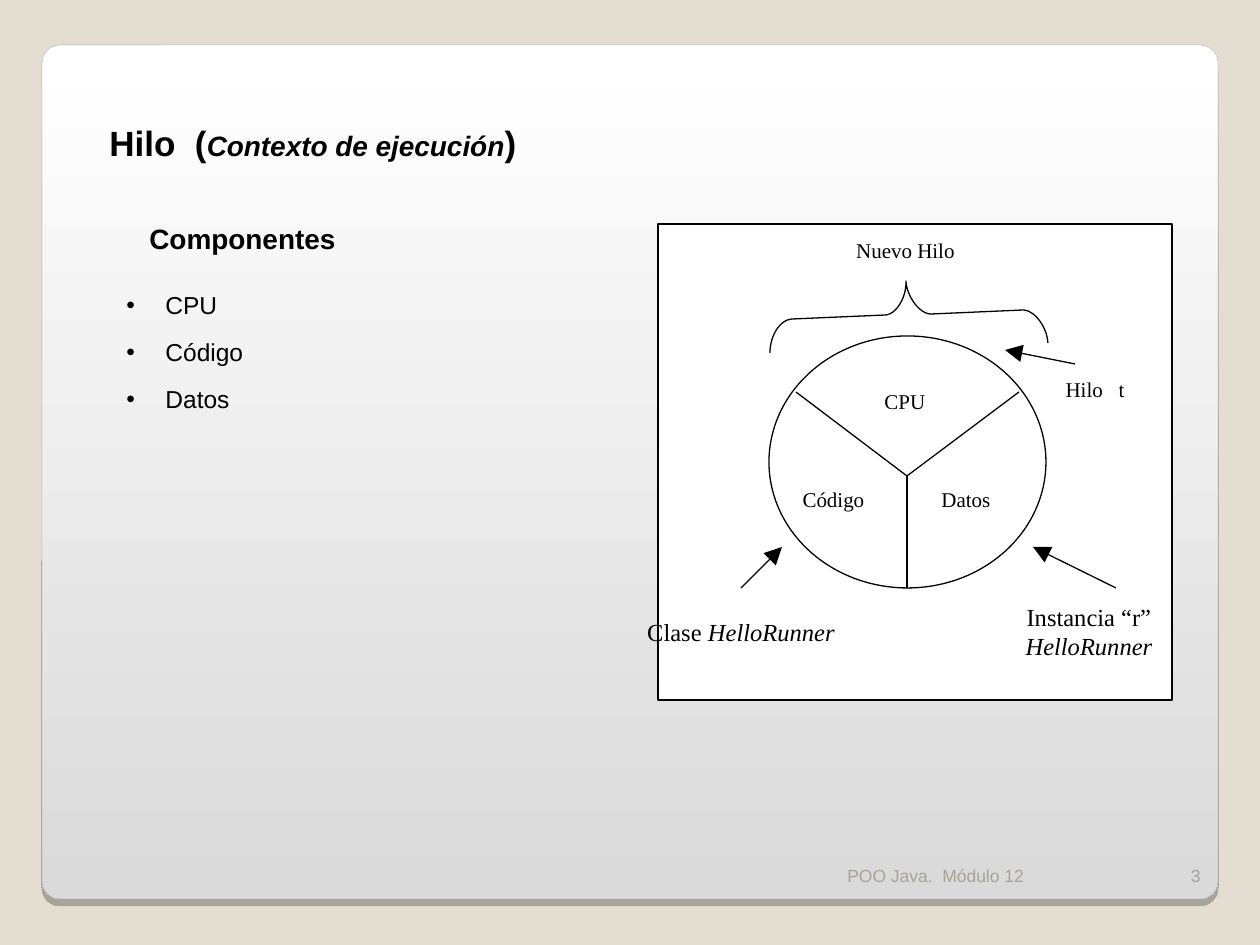
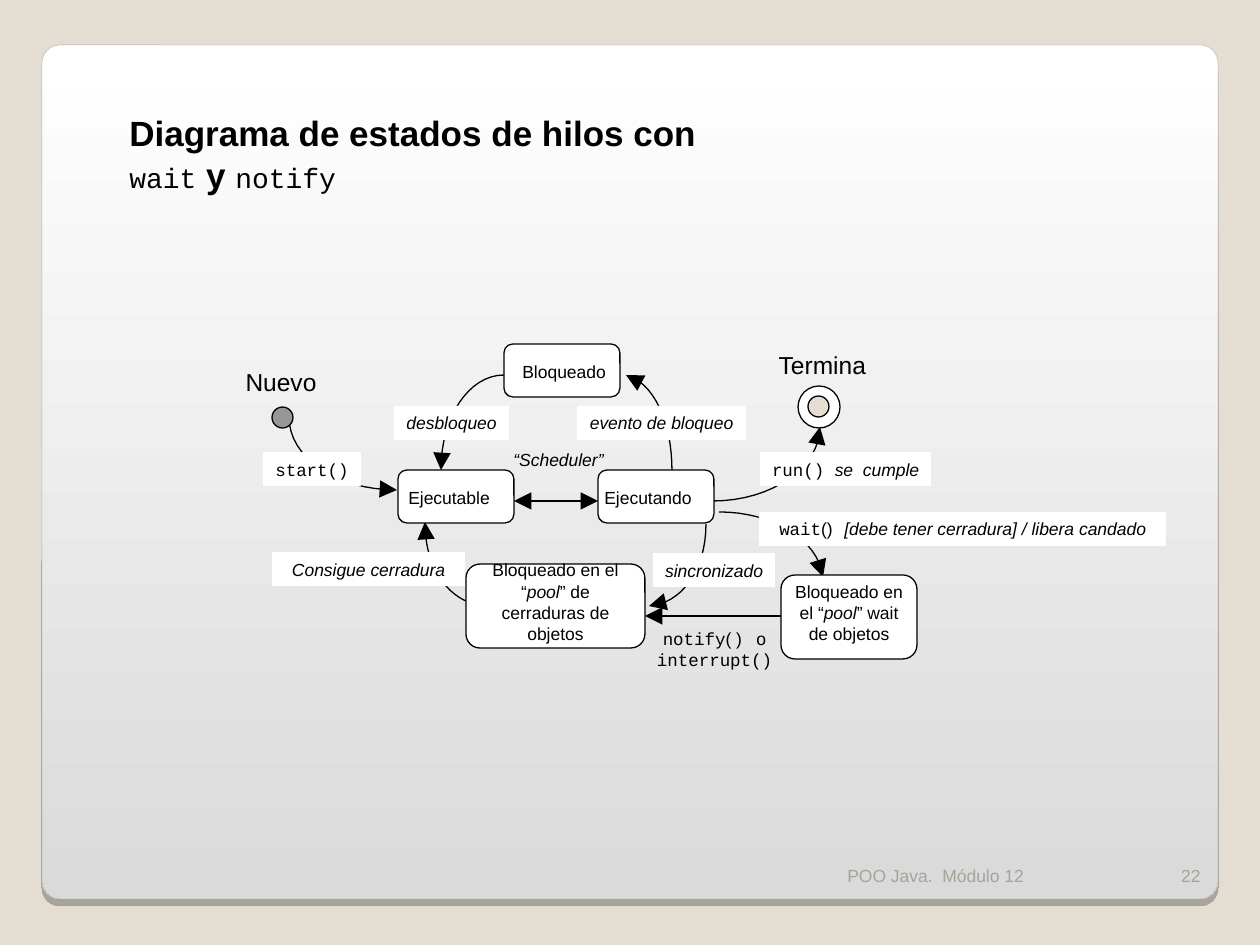
from lxml import etree
from pptx import Presentation
from pptx.dml.color import RGBColor
from pptx.enum import shapes, text
from pptx.oxml.ns import qn
from pptx.util import Pt

PX = 914400 / 126  # EMU in one px
COLORS = {
    "background": "E3DED1", "white": "FFFFFF", "panel_end": "DADADA",
    "panel_line": "A4A3A3", "footer": "A7A399", "black": "000000", "start": "969696",
}
SANS, MONO, SERIF = "Arial", "Courier New", "Times New Roman"
KIND = shapes.MSO_SHAPE
ALIGN = text.PP_ALIGN
ANCHOR = text.MSO_ANCHOR


def emu(*lengths):
    return [round(n * PX) for n in lengths]


def rgb(name):
    return RGBColor.from_string(COLORS[name])


def style_font(font, size=None, name=None, bold=None, italic=None):
    if size:
        font.size = Pt(size)
    if name:
        font.name = name
    if bold is not None:
        font.bold = bold
    if italic is not None:
        font.italic = italic


def outline(sp, ends=""):
    """Thin black line, with large arrowheads at the ends named."""
    sp.line.color.rgb = rgb("black")
    sp.line.width = Pt(0.75)
    ln = sp._element.spPr.find(qn("a:ln"))
    for end in ends.split():
        etree.SubElement(ln, qn(f"a:{end}End"), type="triangle", w="lg", len="lg")


def cubic(points, steps=16):
    """Points along a cubic Bezier curve."""
    for i in range(steps + 1):
        t = i / steps
        weights = ((1 - t) ** 3, 3 * t * (1 - t) ** 2, 3 * t * t * (1 - t), t ** 3)
        yield tuple(sum(w * p[axis] for w, p in zip(weights, points)) for axis in (0, 1))


class Region:
    """Places parts on a slide relative to a top-left corner."""

    def __init__(self, slide, x=0, y=0):
        self.shapes, self.x, self.y = slide.shapes, x, y

    def at(self, x, y):
        return emu(self.x + x, self.y + y)

    def shape(self, kind, x, y, w, h, fill="white"):
        sp = self.shapes.add_shape(kind, *self.at(x, y), *emu(w, h))
        sp.shadow.inherit = False
        sp.fill.solid()
        sp.fill.fore_color.rgb = rgb(fill)
        outline(sp)
        return sp

    def line(self, start, end, ends=""):
        ln = self.shapes.add_connector(
            shapes.MSO_CONNECTOR.STRAIGHT, *self.at(*start), *self.at(*end))
        outline(ln, ends)
        etree.SubElement(ln._element.spPr, qn("a:effectLst"))

    def curve(self, *segments, ends=""):
        points = [self.at(*p) for seg in segments for p in cubic(seg)]
        fb = self.shapes.build_freeform(*points[0])
        fb.add_line_segments(points[1:], close=False)
        sp = fb.convert_to_shape()
        sp.shadow.inherit = False
        sp.fill.background()
        outline(sp, ends)

    def text(self, x, y, w, h, *paragraphs, size=10, font=SANS, color="black", bold=None,
             italic=None, align=ALIGN.CENTER, anchor=ANCHOR.MIDDLE, wrap=True, fill=None):
        """Each paragraph is a string or a list of (text, font changes) runs."""
        box = self.shapes.add_textbox(*self.at(x, y), *emu(w, h))
        if fill:
            box.fill.solid()
            box.fill.fore_color.rgb = rgb(fill)
        tf = box.text_frame
        tf.word_wrap = wrap
        if not wrap:  # one-line labels may use the full width of the box
            tf.margin_left = tf.margin_right = 0
        tf.vertical_anchor = anchor
        for i, runs in enumerate(paragraphs):
            p = tf.add_paragraph() if i else tf.paragraphs[0]
            p.alignment = align
            style_font(p.font, size, font, bold, italic)
            p.font.color.rgb = rgb(color)
            for words, changes in [(runs, {})] if isinstance(runs, str) else runs:
                r = p.add_run()
                r.text = words
                style_font(r.font, **changes)
        return tf


def body_text(region, *box, indent=53, hanging=0, bullet=None, **options):
    """Left-aligned text with paragraph spacing and an optional bullet."""
    tf = region.text(*box, align=ALIGN.LEFT, anchor=ANCHOR.TOP, **options)
    for p in tf.paragraphs:
        p.space_before = p.space_after = Pt(5)
        pPr = p._p.get_or_add_pPr()
        pPr.set("marL", str(emu(indent)[0]))
        pPr.set("indent", str(-emu(hanging)[0]))
        if bullet:
            defaults = pPr.find(qn("a:defRPr"))
            defaults.addprevious(etree.Element(qn("a:buFont"), typeface=SANS))
            defaults.addprevious(etree.Element(qn("a:buChar"), char=bullet))


def base_slide(prs, number):
    """Background, raised panel, footer and slide number."""
    slide = prs.slides.add_slide(prs.slide_layouts[6])
    slide.background.fill.solid()
    slide.background.fill.fore_color.rgb = rgb("background")
    page = Region(slide)

    panel = page.shape(KIND.ROUNDED_RECTANGLE, 42, 45, 1176, 854)
    panel.adjustments[0] = 0.021
    panel.fill.gradient()
    panel.fill.gradient_angle = 270
    for stop, name in zip(panel.fill.gradient_stops, ("white", "panel_end")):
        stop.color.rgb = rgb(name)
    panel.line.color.rgb = rgb("panel_line")
    panel.line.width = Pt(0.17)
    effects = panel._element.spPr.find(qn("a:effectLst"))
    shadow = etree.SubElement(effects, qn("a:outerShdw"), blurRad="0", dist=str(Pt(4)),
                              dir="5400000", algn="tl", rotWithShape="0")
    tint = etree.SubElement(shadow, qn("a:srgbClr"), val=COLORS["black"])
    etree.SubElement(tint, qn("a:alpha"), val="25000")

    for x, w, words, align in ((835, 315, "POO Java.  Módulo 12", ALIGN.LEFT),
                               (1150, 63, str(number), ALIGN.RIGHT)):
        page.text(x, 842, w, 50, words, color="footer", align=align, anchor=ANCHOR.BOTTOM)
    return slide


def thread_diagram(slide, x, y):
    """Circle in three parts inside a white frame."""
    d = Region(slide, x, y)
    d.shape(KIND.RECTANGLE, 0, 0, 514, 476)
    d.shape(KIND.OVAL, 111, 112, 277, 252)
    for rim in ((249, 364), (361, 168), (138, 168)):
        d.line((249, 252), rim)

    # Brace above the circle
    d.curve([(390, 119), (389, 102), (376, 86), (365, 86)],
            [(273, 90), (262, 90), (249, 73), (248, 57)],
            [(248, 57), (249, 73), (238, 91), (227, 91)],
            [(135, 95), (122, 95), (112, 112), (112, 129)])

    # Labels and their pointers
    for left, top, w, words in ((214, 158, 66, "CPU"), (132, 256, 87, "Código"),
                                (271, 256, 74, "Datos"), (186, 7, 123, "Nuevo Hilo"),
                                (347, 146, 180, "Hilo   t")):
        d.text(left, top, w, 38, words, size=12, font=SERIF, wrap=False)
    for left, top, h, words in ((-28, 386, 43, "Clase "), (320, 371, 72, "Instancia “r” ")):
        d.text(left, top, 222, h, [(words, {}), ("HelloRunner", {"italic": True})],
               size=14, font=SERIF)
    for start, end in (((83, 364), (124, 323)), ((458, 364), (375, 323)),
                       ((417, 140), (347, 126))):
        d.line(start, end, "tail")


def state_diagram(slide, x, y):
    """Thread states, the transitions between them and their labels."""
    d = Region(slide, x, y)
    for transition in (
        [(59, 77), (59, 117), (105, 150), (167, 150)],      # start
        [(274, 35), (239, 35), (211, 77), (211, 130)],      # unblock
        [(442, 130), (442, 81), (423, 42), (396, 35)],      # block
        [(244, 264), (216, 256), (195, 226), (195, 182)],   # lock obtained
        [(483, 161), (542, 161), (590, 127), (590, 87)],    # run ends
        [(476, 184), (476, 232), (450, 264), (419, 266)],   # synchronized
        [(489, 172), (542, 172), (588, 199), (593, 237)],   # wait
    ):
        d.curve(transition, ends="tail")
    d.line((284, 161), (368, 161), "head tail")
    d.line((551, 276), (415, 276), "tail")

    # States
    for left, top, label_x, w, name in ((274, 4, 280, 108, "Bloqueado"),
                                        (168, 130, 166, 106, "Ejecutable"),
                                        (368, 130, 362, 112, "Ejecutando")):
        d.shape(KIND.ROUNDED_RECTANGLE, left, top, 116, 53)
        d.text(label_x, top + 10, w, 34, name, wrap=False)
    for left, top, w, label_y, h, ending in (
            (236, 224, 179, 213, 97, "” de cerraduras de objetos"),
            (551, 235, 136, 235, 76, "” wait de objetos")):
        d.shape(KIND.ROUNDED_RECTANGLE, left, top, w, 84)
        d.text(left, label_y, w, h,
               [("Bloqueado en el “", {}), ("pool", {"italic": True}), (ending, {})])

    # Start and end points
    for left, top, size, fill in ((42, 67, 21, "start"), (568, 46, 42, "white"),
                                  (578, 56, 21, "background")):
        d.shape(KIND.OVAL, left, top, size, size, fill)
    d.text(3, 20, 96, 43, "Nuevo", size=14, wrap=False)
    d.text(535, 3, 115, 43, "Termina", size=14, wrap=False)

    # Transition labels
    for left, top, w, words, fill in ((271, 102, 115, "“Scheduler”", None),
                                      (164, 66, 115, "desbloqueo", "white"),
                                      (347, 66, 169, "evento de bloqueo", "white"),
                                      (42, 212, 193, "Consigue cerradura", "white"),
                                      (423, 213, 122, "sincronizado", "white")):
        d.text(left, top, w, 34, words, italic=True, wrap=False, fill=fill)
    sans, slanted = {"name": SANS}, {"name": SANS, "italic": True}
    for left, top, w, h, runs, wrap, fill in (
            (33, 112, 98, 34, [("start()", {})], False, "white"),
            (530, 112, 171, 34, [("run() ", {}), ("se  cumple", slanted)], False, "white"),
            (410, 281, 149, 55,
             [("notify", {}), ("( )   o ", sans), ("interrupt()", {})], True, None),
            (529, 172, 407, 34,
             [("wait", {}), ("()", sans), ("   ", {"name": SANS, "size": 8}),
              ("[debe tener cerradura] / libera candado", slanted)], False, "white")):
        d.text(left, top, w, h, runs, font=MONO, wrap=wrap, fill=fill)


def context_slide(prs):
    slide = base_slide(prs, 3)
    page = Region(slide)
    body_text(page, 44, 115, 638, 55,
              [("Hilo  (", {}), ("Contexto de ejecución", {"size": 16, "italic": True}),
               (")", {})], size=20, bold=True)
    body_text(page, 84, 215, 601, 47, "Componentes", size=16, bold=True)
    body_text(page, 114, 284, 168, 136, "CPU", "Código", "Datos",
              size=14, indent=39, hanging=39, bullet="•")
    thread_diagram(slide, 658, 224)


def states_slide(prs):
    slide = base_slide(prs, 22)
    code = {"size": 16, "name": MONO, "bold": False}
    body_text(Region(slide), 64, 105, 696, 97,
              [("Diagrama de estados de hilos con", {}), (" wait", code), (" y ", {}),
               ("notify", code)], size=20, bold=True)
    state_diagram(slide, 230, 340)


def main():
    prs = Presentation()
    prs.slide_width, prs.slide_height = emu(1260, 945)
    context_slide(prs)
    states_slide(prs)
    prs.save("out.pptx")


if __name__ == "__main__":
    main()
